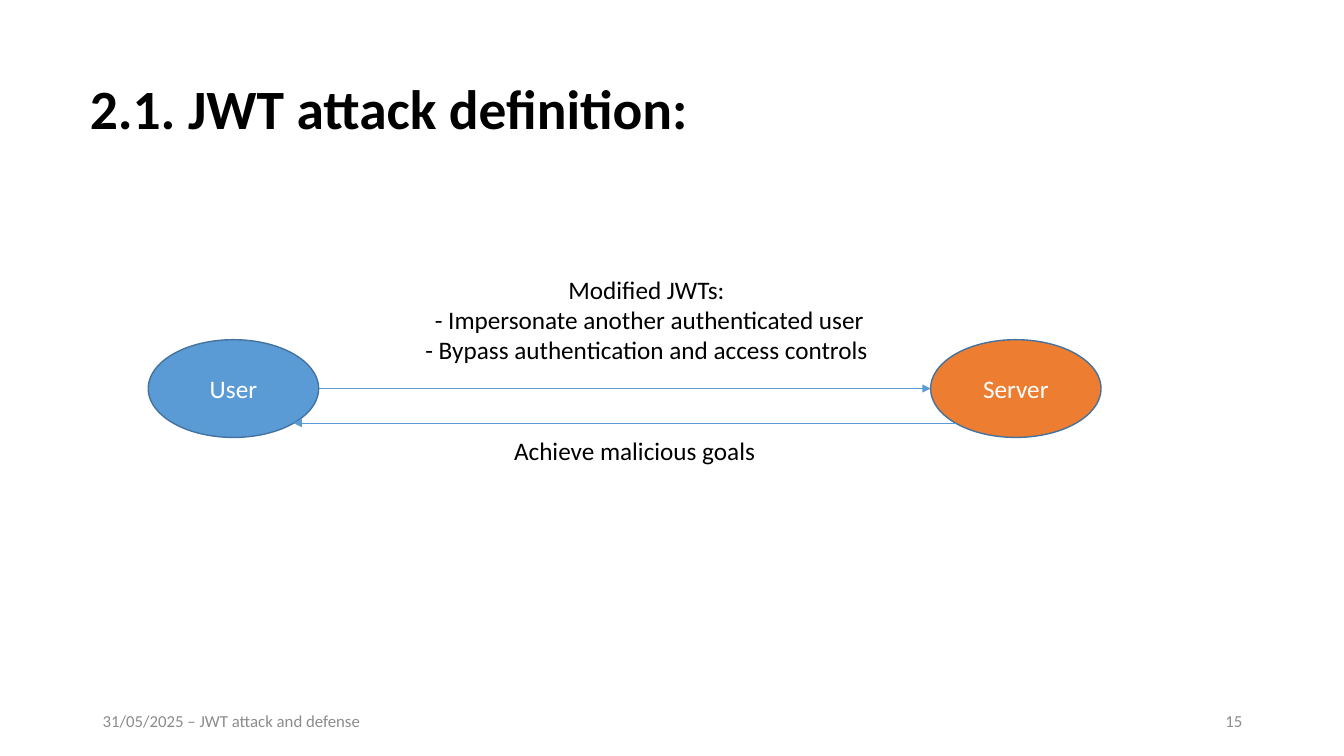
import math

import pptx
import pptx.dml.color
import pptx.enum.shapes
import pptx.enum.text
import pptx.oxml.ns
import pptx.util
from lxml import etree

Inches, Pt = pptx.util.Inches, pptx.util.Pt
ALIGN = pptx.enum.text.PP_ALIGN
ANCHOR = pptx.enum.text.MSO_ANCHOR

BLACK, WHITE, GREY = "000000", "FFFFFF", "8C8C8C"
BLUE, ORANGE, OUTLINE = "5B9BD5", "ED7D31", "43739E"

TITLE = "2.1. JWT attack definition:"
ACTORS = [("User", 1.47, BLUE), ("Server", 9.23, ORANGE)]
ACTOR_TOP, ACTOR_W, ACTOR_H = 3.37, 1.69, 0.97
REQUEST = [
    "Modified JWTs: ",
    "- Impersonate another authenticated user",
    "- Bypass authentication and access controls ",
]
RESPONSE = ["Achieve malicious goals"]
# lines, (left, top, width, height), size, colour, alignment, anchor
TEXTS = [
    (["31/05/2025 – JWT attack and defense"], (0.92, 6.95, 3, 0.4), 12, GREY, ALIGN.LEFT, ANCHOR.MIDDLE),
    (["15"], (9.42, 6.95, 3, 0.4), 12, GREY, ALIGN.RIGHT, ANCHOR.MIDDLE),
    (REQUEST, (3.9, 2.67, 5.08, 1.01), 18, BLACK, ALIGN.CENTER, ANCHOR.TOP),
    (RESPONSE, (5, 4.27, 2.88, 0.4), 18, BLACK, ALIGN.LEFT, ANCHOR.TOP),
]


def rgb(value):
    return pptx.dml.color.RGBColor.from_string(value)


def write(sp, lines, size, color, align, anchor, bold=False):
    tf = sp.text_frame
    tf.word_wrap = True
    tf.auto_size = pptx.enum.text.MSO_AUTO_SIZE.NONE
    tf.vertical_anchor = anchor
    for i, line in enumerate(lines):
        p = tf.add_paragraph() if i else tf.paragraphs[0]
        p.alignment = align
        r = p.add_run()
        r.text = line
        r.font.name = "Calibri"
        r.font.size = Pt(size)
        r.font.bold = bold
        r.font.color.rgb = rgb(color)


def add_actor(slide, name, left, color):
    sp = slide.shapes.add_shape(
        pptx.enum.shapes.MSO_SHAPE.OVAL,
        Inches(left), Inches(ACTOR_TOP), Inches(ACTOR_W), Inches(ACTOR_H))
    sp.shadow.inherit = False
    sp.fill.solid()
    sp.fill.fore_color.rgb = rgb(color)
    sp.line.color.rgb = rgb(OUTLINE)
    sp.line.width = Pt(1)
    write(sp, [name], 18, WHITE, ALIGN.CENTER, ANCHOR.MIDDLE)


def add_arrow(slide, x1, x2, y):
    line = slide.shapes.add_connector(
        pptx.enum.shapes.MSO_CONNECTOR.STRAIGHT,
        Inches(x1), Inches(y), Inches(x2), Inches(y))
    line.line.color.rgb = rgb(BLUE)
    line.line.width = Pt(0.5)
    qn = pptx.oxml.ns.qn
    etree.SubElement(line.line._get_or_add_ln(), qn("a:tailEnd"), type="triangle")
    etree.SubElement(line._element.spPr, qn("a:effectLst"))


def main():
    prs = pptx.Presentation()
    prs.slide_width, prs.slide_height = Inches(13.33), Inches(7.5)
    slide = prs.slides.add_slide(prs.slide_layouts[5])

    title = slide.shapes.title
    title.left, title.top = Inches(0.79), Inches(0.78)
    title.width, title.height = Inches(11.5), Inches(0.65)
    write(title, [TITLE], 39.6, BLACK, ALIGN.LEFT, ANCHOR.MIDDLE, bold=True)
    title.text_frame.paragraphs[0].line_spacing = 0.9

    for actor in ACTORS:
        add_actor(slide, *actor)

    # The request joins the ovals' sides, the response their lower diagonals.
    user_left, server_left = (left for _, left, _ in ACTORS)
    user_right = user_left + ACTOR_W
    diagonal = (1 - math.sqrt(0.5)) / 2
    inset = ACTOR_W * diagonal
    add_arrow(slide, user_right, server_left, ACTOR_TOP + ACTOR_H / 2)
    add_arrow(slide, server_left + inset, user_right - inset,
              ACTOR_TOP + ACTOR_H * (1 - diagonal))

    for lines, box, *style in TEXTS:
        sp = slide.shapes.add_textbox(*map(Inches, box))
        write(sp, lines, *style)

    prs.save("out.pptx")


if __name__ == "__main__":
    main()
